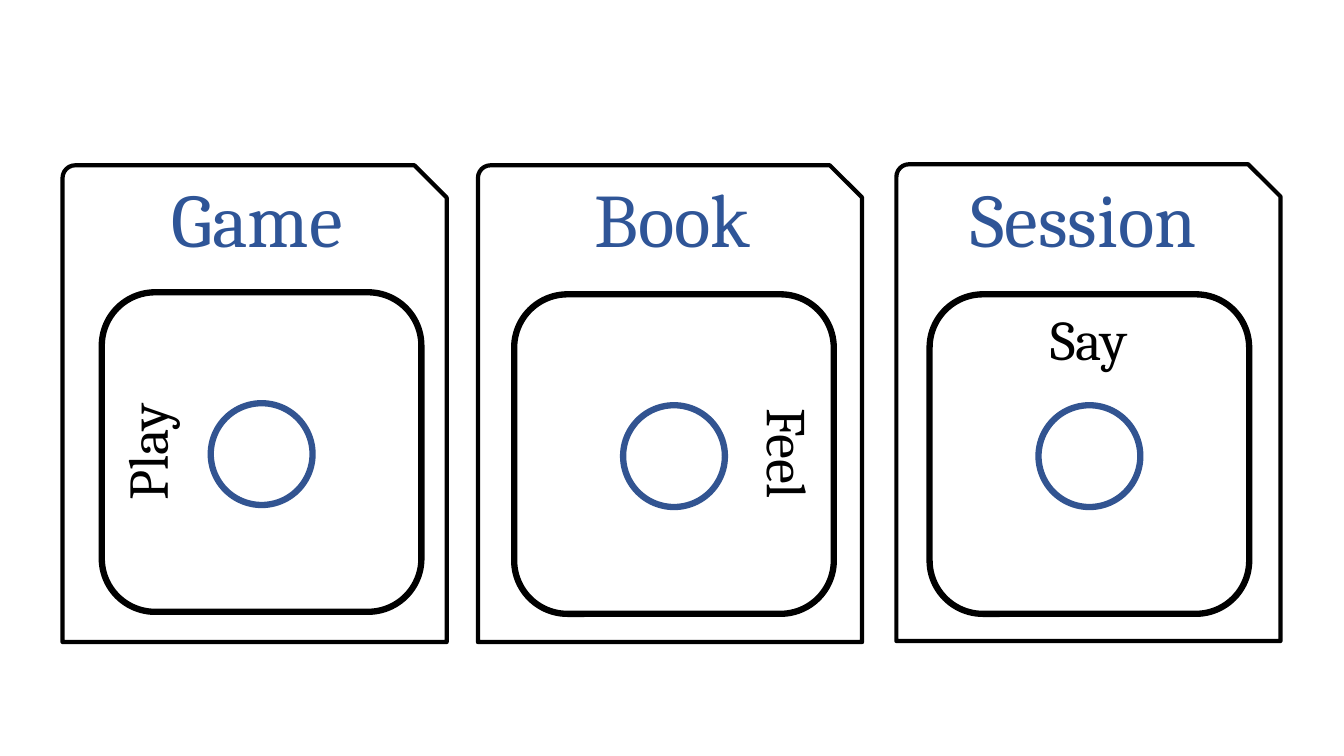
from dataclasses import dataclass
from enum import Enum

from pptx import Presentation
from pptx.dml.color import RGBColor
from pptx.enum.shapes import MSO_SHAPE
from pptx.enum.text import MSO_AUTO_SIZE, PP_ALIGN
from pptx.shapes.autoshape import Shape
from pptx.util import Emu, Pt

PX = 9144  # EMU per px, 100 px to the inch


@dataclass(frozen=True)
class Theme:
    font: str = "Cambria"
    paper: RGBColor = RGBColor(0xFF, 0xFF, 0xFF)
    ink: RGBColor = RGBColor(0, 0, 0)
    heading: RGBColor = RGBColor(0x2F, 0x55, 0x97)
    button: RGBColor = RGBColor(0x32, 0x54, 0x91)
    heading_size: int = 54
    word_size: int = 40
    card_line: float = 3
    dial_line: float = 4.5


@dataclass(frozen=True)
class Box:
    left: int
    top: int
    width: int
    height: int

    def emu(self) -> tuple[Emu, ...]:
        return tuple(Emu(n * PX) for n in (self.left, self.top, self.width, self.height))


class Side(Enum):
    """Step from the dial's centre to its word, and the word's rotation."""
    LEFT = (-1, 0, 270)
    RIGHT = (1, 0, 90)
    TOP = (0, -1, 0)


@dataclass(frozen=True)
class Card:
    heading: str
    word: str
    side: Side
    left: int
    top: int
    heading_left: int
    dial_left: int
    dial_top: int


THEME = Theme()
CARD_WIDTH, CARD_HEIGHT = 381, 473
DIAL, BUTTON = 317, 101
WORD_WIDTH, WORD_HEIGHT, WORD_RADIUS = 180, 80, 113
CARDS = [
    Card("Game", "Play", Side.LEFT, 62, 164, 95, 101, 290),
    Card("Book", "Feel", Side.RIGHT, 474, 164, 507, 510, 292),
    Card("Session", "Say", Side.TOP, 889, 163, 915, 922, 292),
]


def add_outline(shapes, kind: MSO_SHAPE, box: Box, color: RGBColor, weight: float) -> Shape:
    shape = shapes.add_shape(kind, *box.emu())
    shape.shadow.inherit = False
    shape.fill.solid()
    shape.fill.fore_color.rgb = THEME.paper
    shape.line.color.rgb = color
    shape.line.width = Pt(weight)
    return shape


def add_label(shapes, text: str, box: Box, size: int, color: RGBColor, rotation: int = 0) -> None:
    label = shapes.add_textbox(*box.emu())
    label.rotation = rotation
    frame = label.text_frame
    frame.word_wrap = True
    frame.auto_size = MSO_AUTO_SIZE.SHAPE_TO_FIT_TEXT
    para = frame.paragraphs[0]
    para.alignment = PP_ALIGN.CENTER
    span = para.add_run()
    span.text = text
    for name, value in {"name": THEME.font, "size": Pt(size)}.items():
        setattr(span.font, name, value)
    span.font.color.rgb = color


def add_dial(page, card: Card) -> None:
    shapes = page.shapes.add_group_shape().shapes
    add_outline(shapes, MSO_SHAPE.ROUNDED_RECTANGLE,
                Box(card.dial_left, card.dial_top, DIAL, DIAL), THEME.ink, THEME.dial_line)

    # Button, a little below the dial's centre
    inset = (DIAL - BUTTON) // 2
    add_outline(shapes, MSO_SHAPE.OVAL,
                Box(card.dial_left + inset, card.dial_top + inset + 2, BUTTON, BUTTON),
                THEME.button, THEME.dial_line)

    # Word on its side of the button
    step_x, step_y, rotation = card.side.value
    left = card.dial_left + (DIAL - WORD_WIDTH) // 2 + step_x * WORD_RADIUS
    top = card.dial_top + (DIAL - WORD_HEIGHT) // 2 + step_y * WORD_RADIUS
    add_label(shapes, card.word, Box(left, top, WORD_WIDTH, WORD_HEIGHT),
              THEME.word_size, THEME.ink, rotation)


def add_card(page, card: Card) -> None:
    outline = add_outline(page.shapes, MSO_SHAPE.SNIP_ROUND_RECTANGLE,
                          Box(card.left, card.top, CARD_WIDTH, CARD_HEIGHT),
                          THEME.ink, THEME.card_line)
    outline.adjustments[0] = 0.033  # rounded corner
    outline.adjustments[1] = 0.084  # cut corner
    add_dial(page, card)
    add_label(page.shapes, card.heading, Box(card.heading_left, 166, 320, 101),
              THEME.heading_size, THEME.heading)


def main() -> None:
    deck = Presentation()
    deck.slide_width, deck.slide_height = Emu(1333 * PX), Emu(750 * PX)
    page = deck.slides.add_slide(deck.slide_layouts[6])
    for card in CARDS:
        add_card(page, card)
    deck.save("out.pptx")


if __name__ == "__main__":
    main()
